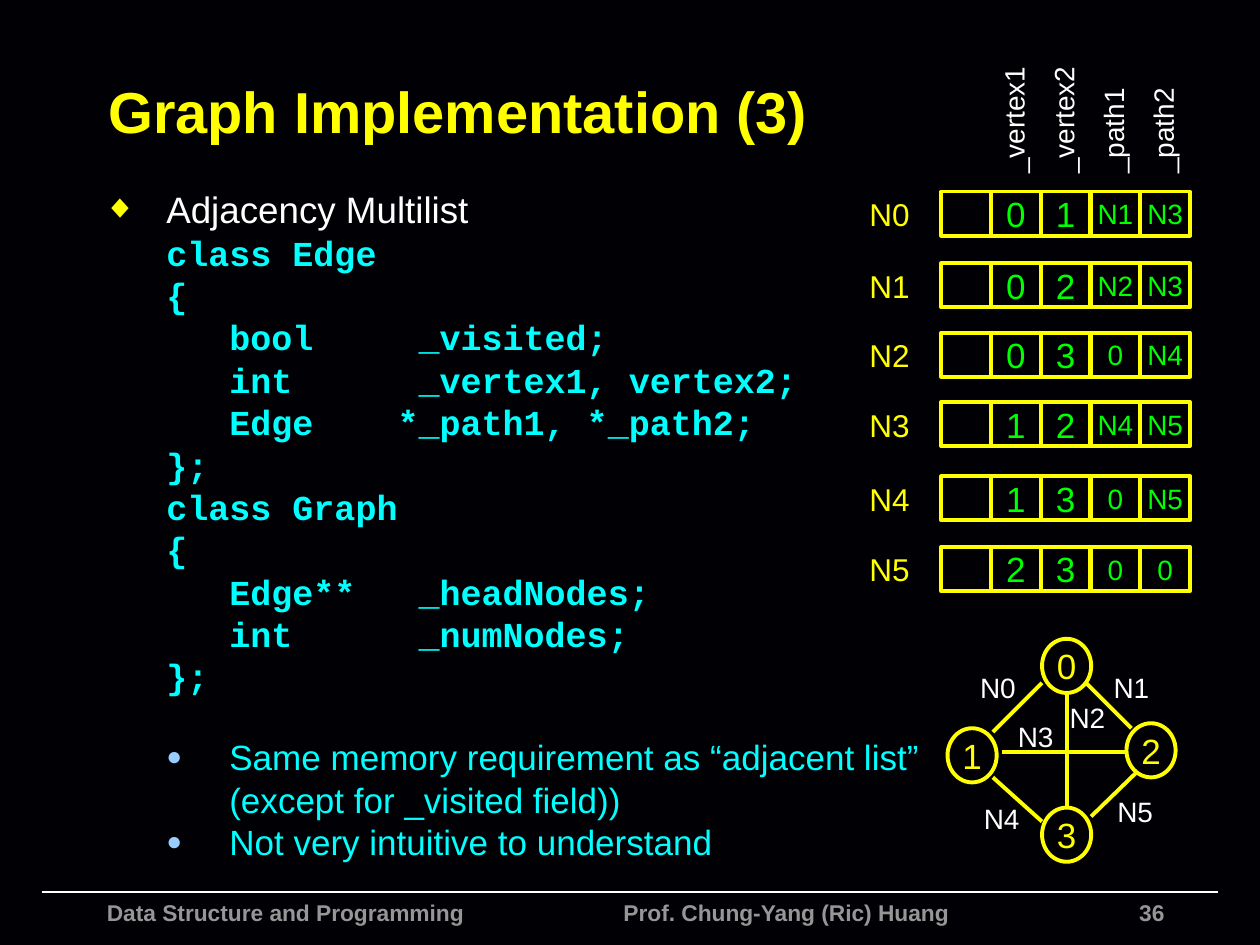
import pptx
import pptx.util
import pptx.dml.color
import pptx.enum.shapes
import pptx.enum.text
import pptx.oxml.ns
from dataclasses import dataclass
from lxml import etree

Inches = pptx.util.Inches
Pt = pptx.util.Pt
SHAPE = pptx.enum.shapes.MSO_SHAPE
ALIGN = pptx.enum.text.PP_ALIGN
ANCHOR = pptx.enum.text.MSO_ANCHOR


@dataclass(frozen=True)
class Theme:
    background: str = "010004"
    accent: str = "FFFF00"
    plain: str = "FFFFFF"
    code: str = "00FFFF"
    value: str = "00FF00"
    footer: str = "969696"
    dot: str = "99CCFF"
    sans: str = "Arial"
    mono: str = "Courier New"
    title_size: float = 33
    topic_size: float = 21
    body_size: float = 20
    row_size: float = 18
    label_size: float = 16
    footer_size: float = 13
    outline: float = 2.25


THEME = Theme()

CODE = """class Edge
{
   bool     _visited;
   int      _vertex1, vertex2;
   Edge    *_path1, *_path2;
};
class Graph
{
   Edge**   _headNodes;
   int      _numNodes;
};""".split("\n")

# Top of each row, then vertex1, vertex2, path1, path2
EDGE_ROWS = [
    (1.52, "0", "1", "N1", "N3"),
    (2.09, "0", "2", "N2", "N3"),
    (2.64, "0", "3", "0", "N4"),
    (3.19, "1", "2", "N4", "N5"),
    (3.78, "1", "3", "0", "N5"),
    (4.34, "2", "3", "0", "0"),
]
COLUMNS = [("_vertex1", 0.95), ("_vertex2", 0.95), ("_path1", 0.78), ("_path2", 0.78)]
COLUMN_PITCH = 0.395

# Offsets within the graph's box
NODES = [(0.75, 0), (0, 0.71), (1.42, 0.67), (0.75, 1.34)]
EDGES = [
    (0.43, 0.90, 1.42, 0.90),
    (0.75, 0.35, 0.36, 0.74),
    (1.10, 0.35, 1.46, 0.71),
    (1.50, 1.06, 1.14, 1.41),
    (0.36, 1.10, 0.75, 1.45),
    (0.95, 0.43, 0.95, 1.34),
]
EDGE_LABELS = [(0.21, 0.20), (1.27, 0.20), (0.92, 0.44),
               (0.51, 0.59), (0.24, 1.24), (1.30, 1.19)]


def rgb(color):
    return pptx.dml.color.RGBColor.from_string(color)


def write(para, text, size=THEME.label_size, color=THEME.plain, font=THEME.sans,
          bold=False, align=None):
    span = para.add_run()
    span.text = text
    span.font.size = Pt(size)
    span.font.name = font
    span.font.bold = bold
    span.font.color.rgb = rgb(color)
    para.alignment = align


def set_frame(frame, inset_x=0.05, anchor=ANCHOR.TOP, wrap=False):
    frame.margin_left = frame.margin_right = Inches(inset_x)
    frame.margin_top = frame.margin_bottom = Inches(0.05)
    frame.vertical_anchor = anchor
    frame.word_wrap = wrap
    frame.auto_size = pptx.enum.text.MSO_AUTO_SIZE.NONE


def place(shape, left, top, width, height):
    shape.left, shape.top = Inches(left), Inches(top)
    shape.width, shape.height = Inches(width), Inches(height)


def add_label(shapes, text, left, top, width, height, inset_x=0.05,
              align=ALIGN.CENTER, **style):
    box = shapes.add_textbox(Inches(left), Inches(top), Inches(width), Inches(height))
    set_frame(box.text_frame, inset_x)
    write(box.text_frame.paragraphs[0], text, align=align, **style)
    return box


def add_outline(shapes, kind, text, left, top, width, height, **style):
    """Unfilled shape with a yellow outline and optional centred text."""
    shape = shapes.add_shape(kind, Inches(left), Inches(top), Inches(width), Inches(height))
    shape.shadow.inherit = False
    shape.fill.background()
    shape.line.color.rgb = rgb(THEME.accent)
    shape.line.width = Pt(THEME.outline)
    if text:
        set_frame(shape.text_frame, anchor=ANCHOR.MIDDLE)
        write(shape.text_frame.paragraphs[0], text, align=ALIGN.CENTER, **style)


def add_line(shapes, x1, y1, x2, y2, color=THEME.accent, width=THEME.outline):
    line = shapes.add_connector(pptx.enum.shapes.MSO_CONNECTOR.STRAIGHT,
                                Inches(x1), Inches(y1), Inches(x2), Inches(y2))
    line.line.color.rgb = rgb(color)
    line.line.width = Pt(width)
    properties = line._element.spPr
    etree.SubElement(properties, pptx.oxml.ns.qn("a:effectLst"))


def format_paragraph(para, margin, indent, before, bullet=None):
    """Set indents and spacing; bullet is (character, colour, percent)."""
    para.line_spacing = 0.8
    para.space_before = Pt(before)
    properties = para._p.get_or_add_pPr()
    properties.set("marL", str(Inches(margin)))
    properties.set("indent", str(Inches(indent)))
    qn = pptx.oxml.ns.qn
    if bullet is None:
        etree.SubElement(properties, qn("a:buNone"))
        return
    character, color, percent = bullet
    etree.SubElement(etree.SubElement(properties, qn("a:buClr")), qn("a:srgbClr"), val=color)
    etree.SubElement(properties, qn("a:buSzPct"), val=str(percent * 1000))
    etree.SubElement(properties, qn("a:buFont"), typeface=THEME.sans)
    etree.SubElement(properties, qn("a:buChar"), char=character)


def fill_title(title, left, top, width, height):
    place(title, left, top, width, height)
    set_frame(title.text_frame, 0.1, ANCHOR.MIDDLE, wrap=True)
    write(title.text_frame.paragraphs[0], "Graph Implementation (3)",
          size=THEME.title_size, color=THEME.accent, bold=True, align=ALIGN.LEFT)


def fill_body(body, left, top, width, height):
    place(body, left, top, width, height)
    frame = body.text_frame
    set_frame(frame, 0.1, wrap=True)
    topic = frame.paragraphs[0]
    format_paragraph(topic, 0.5, -0.5, 0, ("◆", THEME.accent, 90))
    write(topic, "Adjacency Multilist", size=THEME.topic_size)
    for text in CODE:
        para = frame.add_paragraph()
        format_paragraph(para, 0.5, 0, 5)
        write(para, text, size=THEME.body_size, color=THEME.code, font=THEME.mono, bold=True)
    dot = ("●", THEME.dot, 75)
    for text, indent, before, bullet in [
        ("Same memory requirement as “adjacent list”", -0.5, 27, dot),
        ("(except for _visited field))", 0, 5, None),
        ("Not very intuitive to understand", -0.5, 5, dot),
    ]:
        para = frame.add_paragraph()
        para.level = 1
        format_paragraph(para, 1, indent, before, bullet)
        write(para, text, size=THEME.body_size, color=THEME.code)


def add_edge_row(page, name, values, left, top):
    shapes = page.shapes.add_group_shape().shapes
    add_label(shapes, name, left - 0.62, top - 0.02, 0.42, 0.4,
              size=THEME.row_size, color=THEME.accent)
    for column, text in enumerate(("",) + tuple(values)):
        size = THEME.body_size if column < 3 else THEME.label_size
        add_outline(shapes, SHAPE.RECTANGLE, text, left + column * COLUMN_PITCH, top,
                    COLUMN_PITCH, 0.35, size=size, color=THEME.value)


def add_multilist(page, left):
    for column, (text, length) in enumerate(COLUMNS):
        center = left + 0.575 + column * COLUMN_PITCH
        label = add_label(page.shapes, text, center - length / 2,
                          1.43 - length / 2 - 0.185, length, 0.37)
        label.rotation = 270
    for index, (top, *values) in enumerate(EDGE_ROWS):
        add_edge_row(page, f"N{index}", values, left, top)


def add_graph(page, left, top):
    for index, (x, y) in enumerate(NODES):
        add_outline(page.shapes, SHAPE.OVAL, str(index), left + x, top + y, 0.39, 0.43,
                    size=THEME.body_size, color=THEME.accent)
    for x1, y1, x2, y2 in EDGES:
        add_line(page.shapes, left + x1, top + y1, left + x2, top + y2)
    for index, (x, y) in enumerate(EDGE_LABELS):
        add_label(page.shapes, f"N{index}", left + x, top + y, 0.38, 0.37)


def add_footer(page, left, top, width):
    add_line(page.shapes, left, top, left + width, top, color=THEME.plain, width=1)
    for text, offset, length, align in [
        ("Data Structure and Programming", 0.42, 3.5, ALIGN.LEFT),
        ("Prof. Chung-Yang (Ric) Huang", 4.52, 3, ALIGN.LEFT),
        ("36", 8.01, 1, ALIGN.RIGHT),
    ]:
        add_label(page.shapes, text, left + offset, top, length, 0.32, inset_x=0.1,
                  align=align, size=THEME.footer_size, color=THEME.footer, bold=True)


def main():
    deck = pptx.Presentation()
    deck.slide_width, deck.slide_height = Inches(10), Inches(7.5)
    page = deck.slides.add_slide(deck.slide_layouts[1])
    page.background.fill.solid()
    page.background.fill.fore_color.rgb = rgb(THEME.background)
    add_footer(page, 0.33, 7.08, 9.34)
    fill_title(page.shapes.title, 0.76, 0.37, 8.84, 1.01)
    fill_body(page.placeholders[1], 0.72, 1.5, 8.5, 5.52)
    add_multilist(page, 7.47)
    add_graph(page, 7.52, 5.07)
    deck.save("out.pptx")


if __name__ == "__main__":
    main()
